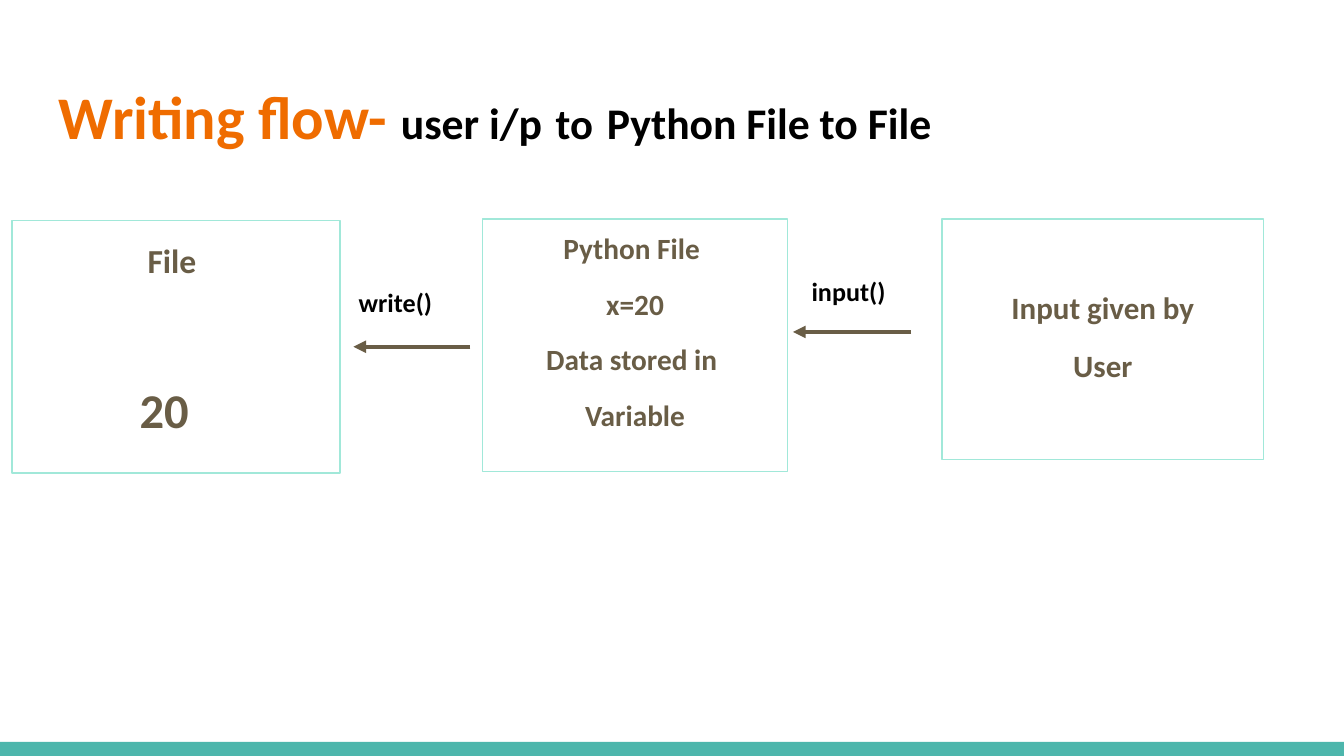
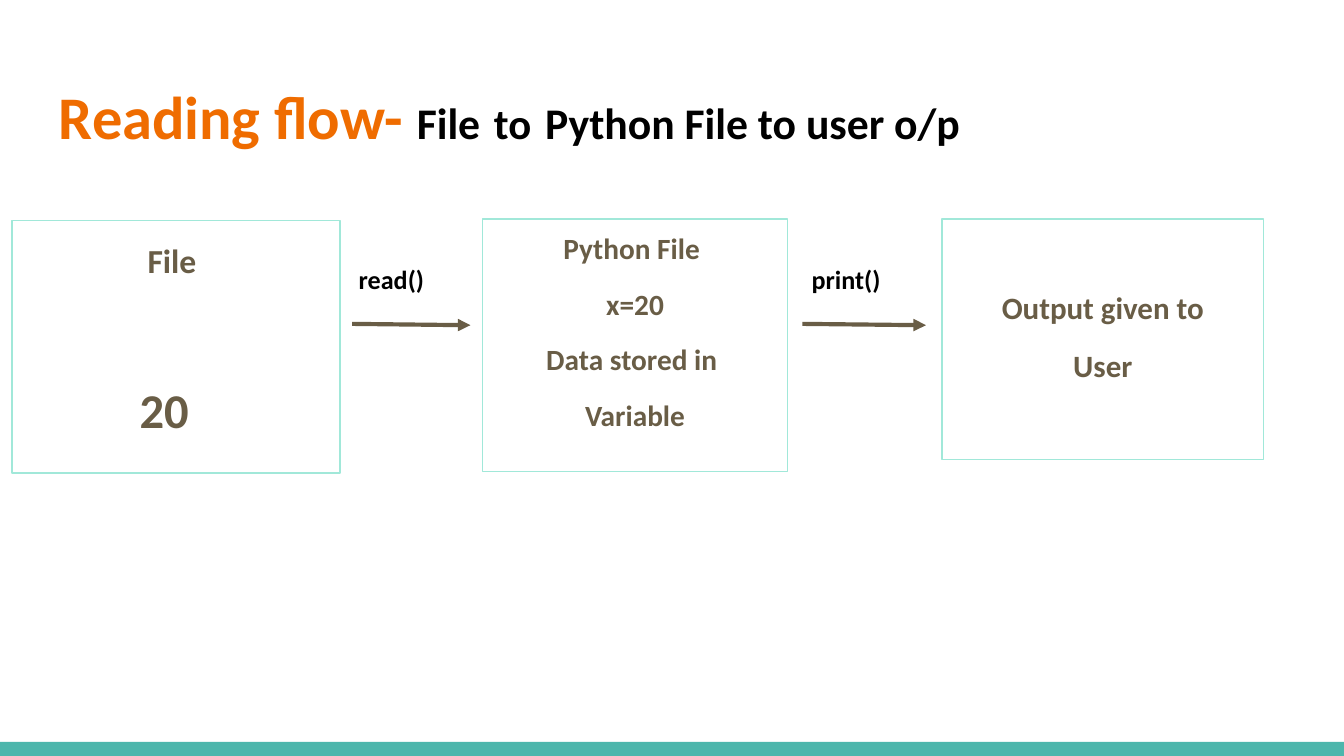
import dataclasses
import typing

import pptx
import pptx.dml.color
import pptx.enum.shapes
import pptx.enum.text
import pptx.oxml
import pptx.oxml.ns
import pptx.util

Inches = pptx.util.Inches
Pt = pptx.util.Pt
Align = pptx.enum.text.PP_ALIGN
Anchor = pptx.enum.text.MSO_ANCHOR
Kind = pptx.enum.shapes.MSO_SHAPE


@dataclasses.dataclass(frozen=True)
class Theme:
    font: str = "Calibri"
    teal: str = "4DB6AC"
    mint: str = "A1E8D9"
    orange: str = "EF6C00"
    brown: str = "695D46"
    black: str = "000000"
    title: float = 32.4
    route: float = 23.4
    joint: float = 22.9
    file: float = 18
    value: float = 26
    code: float = 15.7
    user: float = 16.6
    call: float = 14
    edge: float = 0.75
    arrow: float = 2.25


THEME = Theme()


class Run(typing.NamedTuple):
    text: str
    size: float
    color: str = THEME.brown


class Line(typing.NamedTuple):
    runs: list[Run]
    before: float = 0
    indent: float = 0


@dataclasses.dataclass(frozen=True)
class Box:
    left: float
    top: float
    width: float
    height: float
    lines: list[Line]
    align: Align = Align.CENTER
    space: float = 0.95
    inset: float = 0.1


@dataclasses.dataclass(frozen=True)
class Step:
    call: str
    left: float
    top: float
    start: tuple[float, float]
    end: tuple[float, float]


@dataclasses.dataclass(frozen=True)
class Flow:
    name: str
    source: str
    target: str
    user: str
    steps: list[Step]


def rgb(color: str) -> pptx.dml.color.RGBColor:
    return pptx.dml.color.RGBColor.from_string(color)


def write(shape, lines: list[Line], *, align: Align = Align.LEFT,
          space: float = 1.0, inset: float = 0.1) -> None:
    frame = shape.text_frame
    frame.word_wrap = True
    frame.vertical_anchor = Anchor.TOP
    frame.margin_left = frame.margin_right = frame.margin_bottom = Inches(0.1)
    frame.margin_top = Inches(inset)
    for index, line in enumerate(lines):
        para = frame.add_paragraph() if index else frame.paragraphs[0]
        para.alignment = align
        para.line_spacing = space
        para.space_before = Pt(line.before)
        if line.indent:
            para._p.get_or_add_pPr().set("marL", str(Inches(line.indent)))
        for part in line.runs:
            run = para.add_run()
            run.text = part.text
            run.font.name = THEME.font
            run.font.size = Pt(part.size)
            run.font.bold = True
            run.font.color.rgb = rgb(part.color)


def label(slide, left: float, top: float, width: float, height: float,
          runs: list[Run]) -> None:
    shape = slide.shapes.add_textbox(
        Inches(left), Inches(top), Inches(width), Inches(height))
    write(shape, [Line(runs)])


def rect(slide, left: float, top: float, width: float, height: float,
         fill: str | None = None, edge: str | None = None):
    shape = slide.shapes.add_shape(
        Kind.RECTANGLE, Inches(left), Inches(top), Inches(width), Inches(height))
    shape.shadow.inherit = False
    if fill:
        shape.fill.solid()
        shape.fill.fore_color.rgb = rgb(fill)
    else:
        shape.fill.background()
    if edge:
        shape.line.color.rgb = rgb(edge)
        shape.line.width = Pt(THEME.edge)
    else:
        shape.line.fill.background()
    return shape


def panel(slide, box: Box) -> None:
    shape = rect(slide, box.left, box.top, box.width, box.height, edge=THEME.mint)
    write(shape, box.lines, align=box.align, space=box.space, inset=box.inset)


def arrow(slide, start: tuple[float, float], end: tuple[float, float]) -> None:
    link = slide.shapes.add_connector(
        pptx.enum.shapes.MSO_CONNECTOR.STRAIGHT,
        *(Inches(value) for value in start + end))
    link.line.color.rgb = rgb(THEME.brown)
    link.line.width = Pt(THEME.arrow)
    head = pptx.oxml.parse_xml(
        f'<a:tailEnd {pptx.oxml.ns.nsdecls("a")} type="triangle"/>')
    link.line._get_or_add_ln().append(head)
    link._element.spPr.append(
        pptx.oxml.parse_xml(f'<a:effectLst {pptx.oxml.ns.nsdecls("a")}/>'))


def stack(texts: list[str], size: float) -> list[Line]:
    return [Line([Run(text, size)], before=12 if index else 0)
            for index, text in enumerate(texts)]


FILE = Box(0.09, 1.64, 2.44, 1.88, [
    Line([Run("File", THEME.file)], indent=0.91),
    Line([Run("20", THEME.value)], before=49, indent=0.85),
], align=Align.LEFT, space=1.15)

CODE = Box(3.59, 1.63, 2.27, 1.88, stack(
    ["Python File ", "x=20", "Data stored in ", "Variable"], THEME.code))

FLOWS = [
    Flow("Writing flow- ", "user i/p", "Python File to File", "Input given by", [
        Step("write()", 2.57, 2.03, (3.5, 2.58), (2.63, 2.58)),
        Step("input()", 5.94, 1.95, (6.78, 2.47), (5.9, 2.47)),
    ]),
    Flow("Reading flow- ", "File", "Python File to user o/p", "Output given to", [
        Step("read()", 2.57, 1.86, (2.62, 2.41), (3.5, 2.42)),
        Step("print()", 5.94, 1.86, (5.97, 2.41), (6.89, 2.42)),
    ]),
]


def draw(slide, flow: Flow) -> None:
    rect(slide, 0, 5.52, 10, 0.11, fill=THEME.teal)
    label(slide, 0.34, 0.49, 9.32, 0.77, [
        Run(flow.name, THEME.title, THEME.orange),
        Run(flow.source, THEME.route, THEME.black),
        Run(" ", THEME.title, THEME.black),
        Run("to", THEME.joint, THEME.black),
        Run(" ", THEME.title, THEME.orange),
        Run(flow.target, THEME.route, THEME.black),
    ])
    user = Box(7.01, 1.63, 2.39, 1.79,
               stack([flow.user, "User"], THEME.user), inset=0.54)
    for box in (FILE, CODE, user):
        panel(slide, box)
    for step in flow.steps:
        arrow(slide, step.start, step.end)
        label(slide, step.left, step.top, 0.99, 0.44,
              [Run(step.call, THEME.call, THEME.black)])


def main() -> None:
    deck = pptx.Presentation()
    deck.slide_width = Inches(10)
    deck.slide_height = Inches(10 * 9 / 16)
    for flow in FLOWS:
        draw(deck.slides.add_slide(deck.slide_layouts[6]), flow)
    deck.save("out.pptx")


if __name__ == "__main__":
    main()
